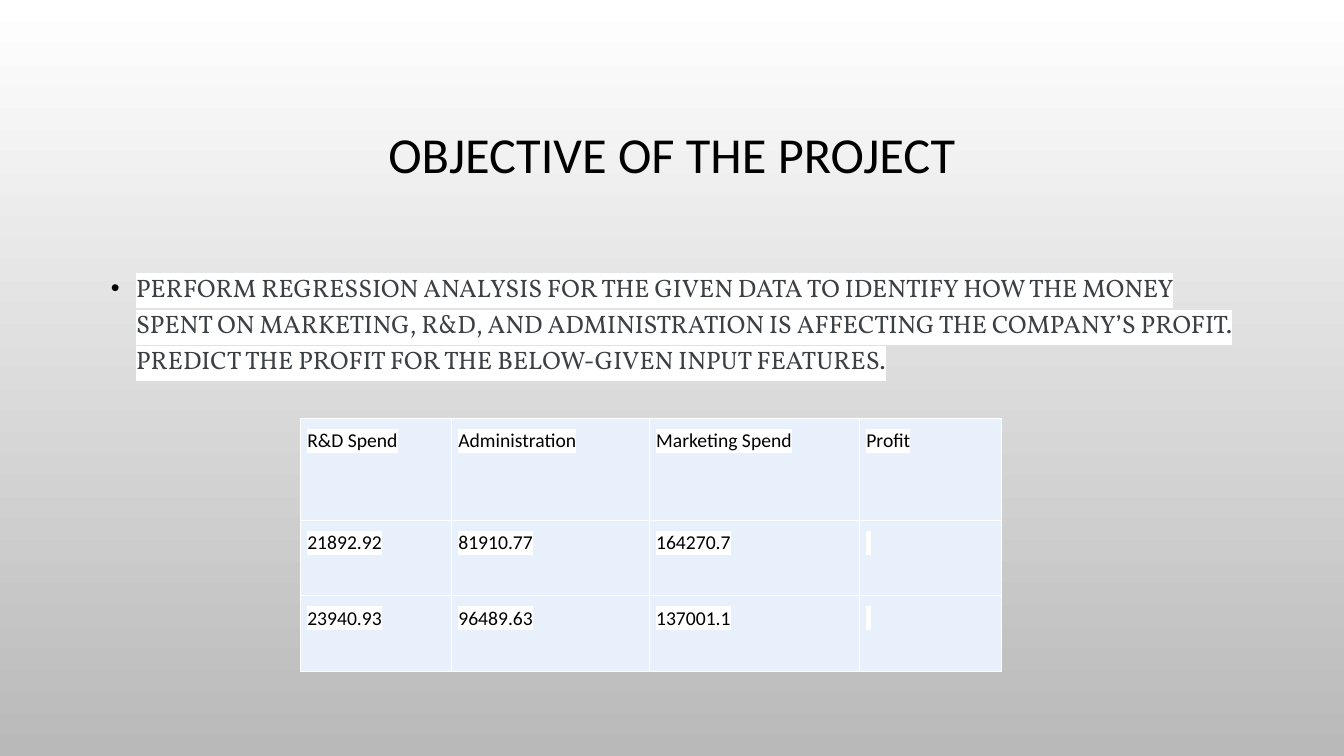
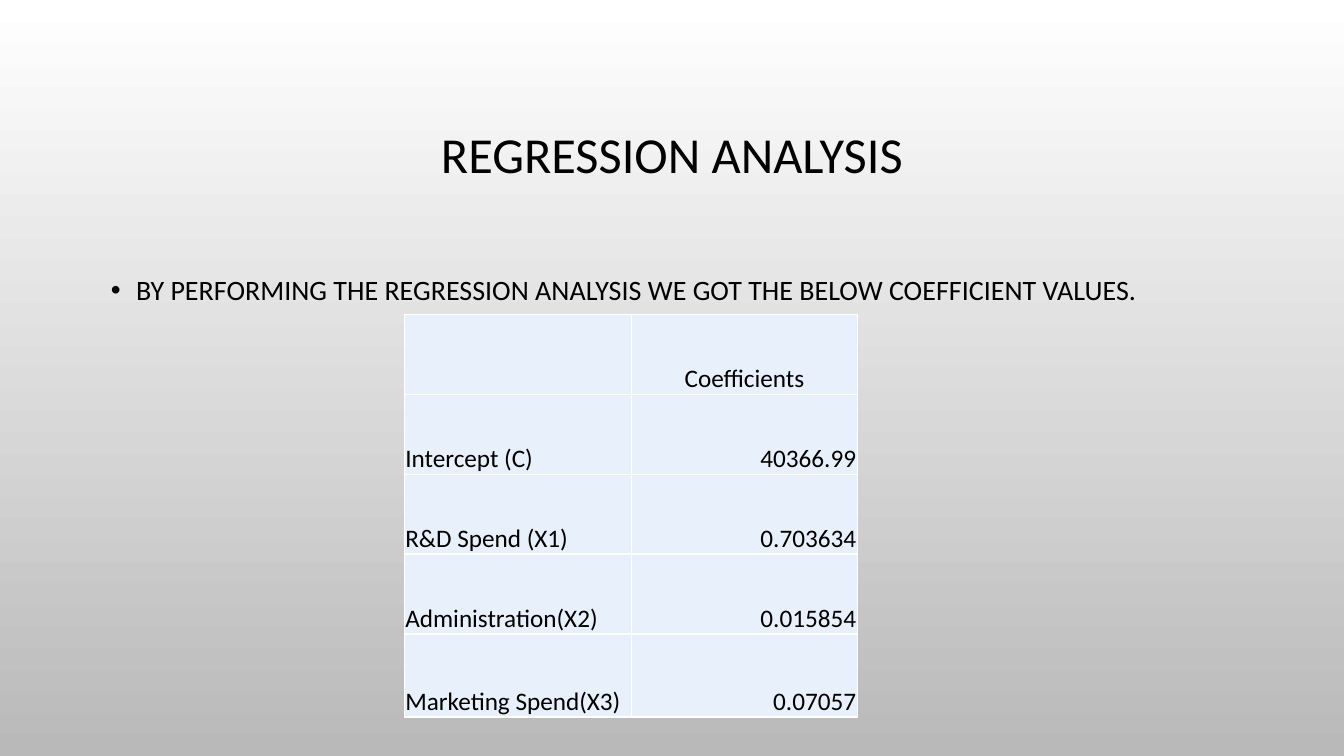
from dataclasses import dataclass

from lxml.etree import SubElement
from pptx import Presentation
from pptx.dml.color import RGBColor
from pptx.enum.text import MSO_ANCHOR as Anchor, MSO_AUTO_SIZE as AutoSize, PP_ALIGN as Align
from pptx.oxml.ns import qn
from pptx.util import Pt

BLACK, WHITE, GREY, SLATE, PALE = "000000", "FFFFFF", "B9B9B9", "3C4043", "E8F0FC"
TITLE_BOX = (72, 49, 816, 126)
BODY_BOX = (72, 186.5, 816, 269.3)
TITLE_AND_CONTENT = 1


@dataclass(frozen=True)
class TextStyle:
    size: float
    font: str = "Calibri"
    color: str = BLACK
    highlight: str | None = None


@dataclass(frozen=True)
class TableSpec:
    left: float
    top: float
    cols: tuple[float, ...]
    rows: tuple[float, ...]
    cells: tuple[tuple[str, ...], ...]
    style: TextStyle
    margins: tuple[float, float, float, float]
    anchor: Anchor = Anchor.TOP
    header_align: Align = Align.LEFT
    value_align: Align = Align.LEFT
    line_spacing: float = 1.0
    space_after: float = 0


@dataclass(frozen=True)
class SlideSpec:
    title: str
    bullet: str
    bullet_style: TextStyle
    table: TableSpec


TITLE_STYLE = TextStyle(36)
SLIDES = (
    SlideSpec(
        "OBJECTIVE OF THE PROJECT",
        "PERFORM REGRESSION ANALYSIS FOR THE GIVEN DATA TO IDENTIFY HOW THE MONEY SPENT ON "
        "MARKETING, R&D, AND ADMINISTRATION IS AFFECTING THE COMPANY’S PROFIT. PREDICT THE "
        "PROFIT FOR THE BELOW-GIVEN INPUT FEATURES.",
        TextStyle(18, "Vollkorn", SLATE, WHITE),
        TableSpec(
            214.5, 298.8, (107.9, 141.3, 150.2, 101.5), (72.8, 54, 54),
            (
                ("R&D Spend", "Administration", "Marketing Spend", "Profit"),
                ("21892.92", "81910.77", "164270.7", " "),
                ("23940.93", "96489.63", "137001.1", " "),
            ),
            TextStyle(14, highlight=WHITE), (5, 5, 5, 5),
            line_spacing=1.15, space_after=8,
        ),
    ),
    SlideSpec(
        "REGRESSION ANALYSIS",
        "BY PERFORMING THE REGRESSION ANALYSIS WE GOT THE BELOW COEFFICIENT VALUES.",
        TextStyle(20),
        TableSpec(
            288.8, 224.5, (162.5, 161), (57.1,) * 4 + (59.3,),
            (
                ("", "Coefficients"),
                ("Intercept (C)", "40366.99"),
                ("R&D Spend (X1)", "0.703634"),
                ("Administration(X2)", "0.015854"),
                ("Marketing Spend(X3)", "0.07057"),
            ),
            TextStyle(18), (0.75, 0.75, 0.75, 0),
            Anchor.BOTTOM, Align.CENTER, Align.RIGHT,
        ),
    ),
)


def rgb(color: str) -> RGBColor:
    return RGBColor.from_string(color)


def add_color(parent, tag: str, color: str):
    """Append a colour-holding element such as a:solidFill."""
    el = SubElement(parent, qn(tag))
    SubElement(el, qn("a:srgbClr"), val=color)
    return el


def add_run(p, text: str, style: TextStyle) -> None:
    r = p.add_run()
    r.text = text
    r.font.size = Pt(style.size)
    r.font.bold = False
    r.font.color.rgb = rgb(style.color)
    if style.highlight:
        add_color(r._r.get_or_add_rPr(), "a:highlight", style.highlight)
    r.font.name = style.font


def place_text(sp, box: tuple[float, ...], anchor: Anchor, line_spacing: float):
    """Move a placeholder, set its text frame and return its first paragraph."""
    sp.left, sp.top, sp.width, sp.height = (Pt(v) for v in box)
    tf = sp.text_frame
    tf.word_wrap = True
    tf.auto_size = AutoSize.NONE
    tf.vertical_anchor = anchor
    p = tf.paragraphs[0]
    p.line_spacing = line_spacing
    p.space_before = Pt(0)
    return p


def add_bullet(p) -> None:
    pPr = p._p.get_or_add_pPr()
    pPr.set("marL", str(Pt(18)))
    pPr.set("indent", str(-Pt(18)))
    add_color(pPr, "a:buClr", BLACK)
    SubElement(pPr, qn("a:buFont"), typeface="Arial")
    SubElement(pPr, qn("a:buChar"), char="•")


def set_borders(cell) -> None:
    tcPr = cell._tc.get_or_add_tcPr()
    for side in "LRTB":
        ln = SubElement(tcPr, qn(f"a:ln{side}"), w=str(Pt(1)))
        add_color(ln, "a:solidFill", WHITE)


def add_table(s, spec: TableSpec) -> None:
    frame = s.shapes.add_table(
        len(spec.rows), len(spec.cols), Pt(spec.left), Pt(spec.top),
        Pt(sum(spec.cols)), Pt(sum(spec.rows)),
    )
    table = frame.table
    table.first_row = table.horz_banding = False
    for col, width in zip(table.columns, spec.cols):
        col.width = Pt(width)
    for row, height in zip(table.rows, spec.rows):
        row.height = Pt(height)
    for i, texts in enumerate(spec.cells):
        for j, text in enumerate(texts):
            cell = table.cell(i, j)
            set_borders(cell)
            cell.fill.solid()
            cell.fill.fore_color.rgb = rgb(PALE)
            cell.vertical_anchor = spec.anchor
            (cell.margin_left, cell.margin_top,
             cell.margin_right, cell.margin_bottom) = (Pt(m) for m in spec.margins)
            if not text:
                continue
            p = cell.text_frame.paragraphs[0]
            if i == 0:
                p.alignment = spec.header_align
            else:
                p.alignment = spec.value_align if j else Align.LEFT
            p.line_spacing = spec.line_spacing
            p.space_after = Pt(spec.space_after)
            add_run(p, text, spec.style)


def set_background(master) -> None:
    fill = master.background.fill
    fill.gradient()
    fill.gradient_angle = 270
    for stop, position, color in zip(fill.gradient_stops, (0, 1), (WHITE, GREY)):
        stop.position = position
        stop.color.rgb = rgb(color)


def add_slide(prs, spec: SlideSpec) -> None:
    s = prs.slides.add_slide(prs.slide_layouts[TITLE_AND_CONTENT])
    p = place_text(s.shapes.title, TITLE_BOX, Anchor.MIDDLE, 0.9)
    p.alignment = Align.CENTER
    add_run(p, spec.title, TITLE_STYLE)
    p = place_text(s.placeholders[1], BODY_BOX, Anchor.TOP, 1.2)
    add_bullet(p)
    add_run(p, spec.bullet, spec.bullet_style)
    add_table(s, spec.table)


def main() -> None:
    prs = Presentation()
    prs.slide_width, prs.slide_height = Pt(960), Pt(540)
    set_background(prs.slide_master)
    for spec in SLIDES:
        add_slide(prs, spec)
    prs.save("out.pptx")


if __name__ == "__main__":
    main()
